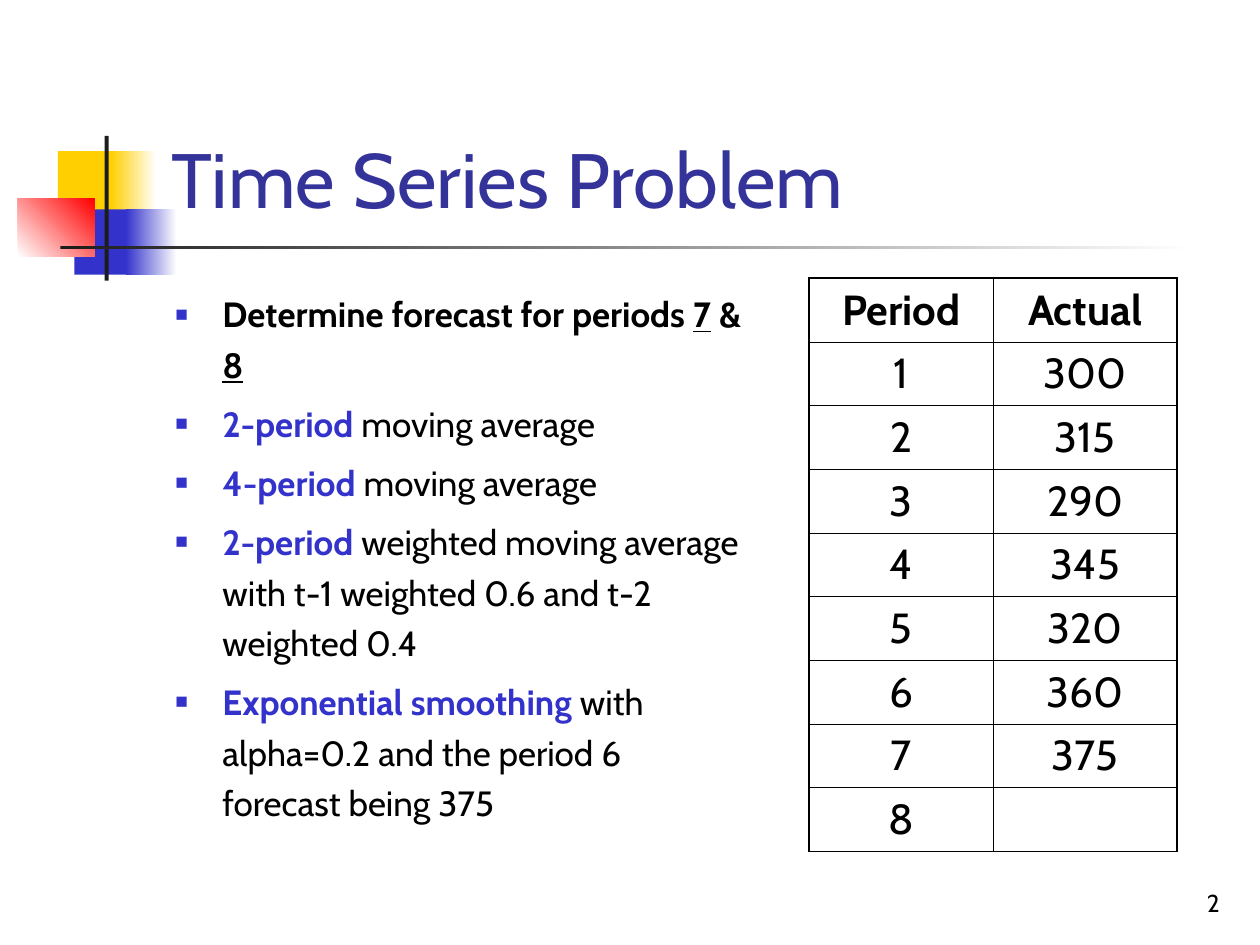
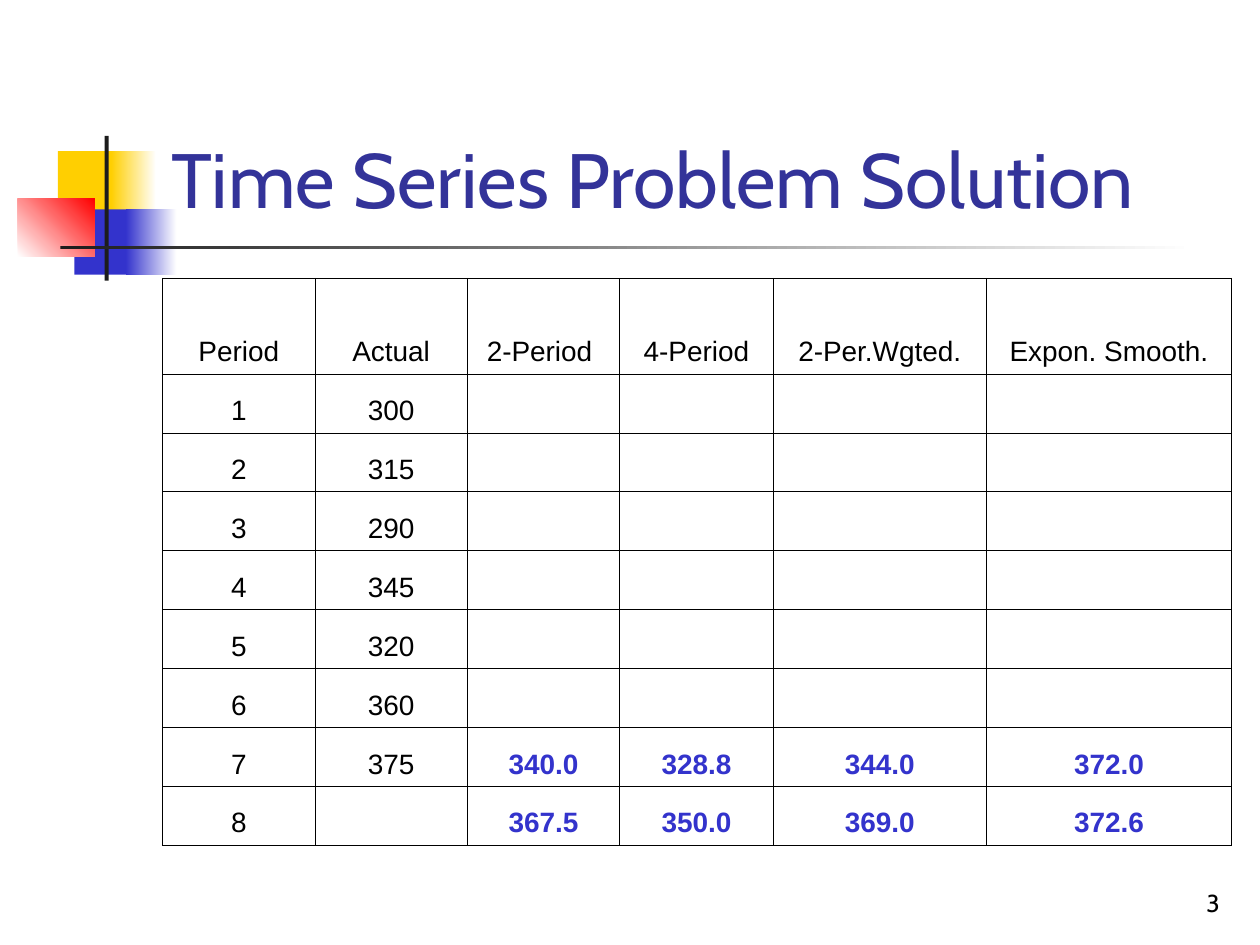
from lxml import etree
from pptx import Presentation
from pptx.dml.color import RGBColor
from pptx.enum.shapes import MSO_SHAPE
from pptx.enum.text import MSO_ANCHOR, MSO_AUTO_SIZE, PP_ALIGN
from pptx.oxml.ns import qn
from pptx.util import Cm, Pt

RECTANGLE = MSO_SHAPE.RECTANGLE
TOP, BOTTOM = MSO_ANCHOR.TOP, MSO_ANCHOR.BOTTOM
LEFT, CENTER, RIGHT = PP_ALIGN.LEFT, PP_ALIGN.CENTER, PP_ALIGN.RIGHT
NO_AUTOFIT = MSO_AUTO_SIZE.NONE

COLORS = {
    "text": "000000", "title": "333399", "accent": "3333CC", "yellow": "FFCF01",
    "red": "FF0000", "bar": "1C1C1C", "white": "FFFFFF",
}
CABIN, ARIAL = "Cabin", "Arial"
THIN, THICK = 0.45, 1.08

# Boxes in cm: left, top, width, height
TITLE_BOX = (3.2, 0.58, 21.64, 4.06)
LIST_BOX = (3.28, 5.61, 11.96, 11.43)
NUMBER_BOX = (19.56, 17.35, 5.28, 1.27)
ACTUALS_BOX = (16.31, 5.61, 7.42, 11.43)
SOLUTION_BOX = (3.28, 5.61, 21.55, 11.43)

# Corner ornament: box, start colour, end colour, angle
ORNAMENT = [
    ((1.17, 3.05, 1.22, 1.32), "yellow", None, 0),
    ((2.24, 3.05, 0.91, 1.32), "yellow", "white", 0),
    ((1.5, 4.22, 1.17, 1.32), "accent", None, 0),
    ((2.54, 4.22, 1.02, 1.32), "accent", "white", 0),
    ((0.36, 4.01, 1.55, 1.17), "white", "red", 45),
    ((2.11, 2.74, 0.08, 2.92), "bar", None, 0),
    ((1.22, 4.95, 22.86, 0.08), "bar", "white", 0),
]

ACTUALS = ["300", "315", "290", "345", "320", "360", "375", ""]
FORECASTS = {
    7: ["340.0", "328.8", "344.0", "372.0"],
    8: ["367.5", "350.0", "369.0", "372.6"],
}
KEY = {"bold": True, "color": "accent"}
TASKS = [
    [("Determine forecast for periods ", {"bold": True}),
     ("7", {"bold": True, "underline": True}),
     (" & ", {"bold": True}),
     ("8", {"bold": True, "underline": True})],
    [("2-period", KEY), (" moving average", {})],
    [("4-period ", KEY), ("moving average", {})],
    [("2-period", KEY),
     (" weighted moving average with t-1 weighted 0.6 and t-2 weighted 0.4", {})],
    [("Exponential smoothing", KEY),
     (" with alpha=0.2 and the period 6 forecast being 375", {})],
]


def rgb(name):
    return RGBColor.from_string(COLORS[name])


def lengths(box):
    return [Cm(value) for value in box]


def place(shape, box):
    for side, value in zip(("left", "top", "width", "height"), lengths(box)):
        setattr(shape, side, value)


def add_span(para, text, size, name=CABIN, color="text", **formats):
    span = para.add_run()
    span.text = text
    for key, value in {"size": Pt(size), "name": name, **formats}.items():
        setattr(span.font, key, value)
    span.font.color.rgb = rgb(color)


def set_frame(shape, anchor):
    frame = shape.text_frame
    for key, value in {"word_wrap": True, "auto_size": NO_AUTOFIT,
                       "vertical_anchor": anchor}.items():
        setattr(frame, key, value)
    return frame


def add_ornament(master, page):
    """Build the ornament on a page, then move it behind everything on the master."""
    for order, (box, start, end, angle) in enumerate(ORNAMENT):
        shape = page.shapes.add_shape(RECTANGLE, *lengths(box))
        shape.shadow.inherit = False
        shape.line.fill.background()
        if end:
            shape.fill.gradient()
            shape.fill.gradient_angle = angle
            for stop, color in zip(shape.fill.gradient_stops, (start, end)):
                stop.color.rgb = rgb(color)
        else:
            shape.fill.solid()
            shape.fill.fore_color.rgb = rgb(start)
        shape.element.nvSpPr.cNvPr.set("id", str(100 + order))
        master.shapes.element.insert(2 + order, shape.element)


def add_page(deck, layout, title, number):
    page = deck.slides.add_slide(layout)
    # Title
    place(page.shapes.title, TITLE_BOX)
    para = set_frame(page.shapes.title, BOTTOM).paragraphs[0]
    para.alignment = LEFT
    add_span(para, title, 44, color="title")
    # Page number
    number_box = page.shapes.add_textbox(*lengths(NUMBER_BOX))
    para = set_frame(number_box, BOTTOM).paragraphs[0]
    para.alignment = RIGHT
    add_span(para, number, 14)
    return page


def add_bullet(para):
    props = para._p.get_or_add_pPr()
    props.set("marL", str(Cm(0.95)))
    props.set("indent", str(-Cm(0.95)))
    bullet_color = etree.SubElement(props, qn("a:buClr"))
    etree.SubElement(bullet_color, qn("a:srgbClr"), val=COLORS["accent"])
    etree.SubElement(props, qn("a:buSzPct"), val="60000")
    etree.SubElement(props, qn("a:buFont"), typeface=ARIAL)
    etree.SubElement(props, qn("a:buChar"), char="■")


def fill_list(body, box, items):
    place(body, box)
    frame = set_frame(body, TOP)
    for index, spans in enumerate(items):
        para = frame.add_paragraph() if index else frame.paragraphs[0]
        add_bullet(para)
        para.line_spacing = 1.2
        para.space_before = Pt(5 if index else 0)
        for text, formats in spans:
            add_span(para, text, 20, **formats)


def set_borders(cell, widths):
    props = cell._tc.get_or_add_tcPr()
    for order, (side, width) in enumerate(zip("LRTB", widths)):
        line = etree.Element(qn(f"a:ln{side}"), w=str(Pt(width)))
        fill = etree.SubElement(line, qn("a:solidFill"))
        etree.SubElement(fill, qn("a:srgbClr"), val=COLORS["text"])
        props.insert(order, line)


def add_grid(page, box, rows, columns, heights, outline, anchor, style):
    """Draw a ruled table; style(row, column) gives the format of a cell's text."""
    table = page.shapes.add_table(len(rows), len(columns), *lengths(box)).table
    table.first_row = table.horz_banding = False
    for column, width in zip(table.columns, columns):
        column.width = Cm(width)
    for row, height in zip(table.rows, heights):
        row.height = Cm(height)
    last_row, last_column = len(rows) - 1, len(columns) - 1
    for r, texts in enumerate(rows):
        for c, text in enumerate(texts):
            cell = table.cell(r, c)
            cell.fill.background()
            cell.vertical_anchor = anchor
            edges = (c == 0, c == last_column, r == 0, r == last_row)
            set_borders(cell, [outline if edge else THIN for edge in edges])
            if text:
                para = cell.text_frame.paragraphs[0]
                para.alignment = CENTER
                add_span(para, text, **style(r, c))


def add_actuals_table(page, box):
    rows = [["Period", "Actual"]]
    rows += [[str(period), actual] for period, actual in enumerate(ACTUALS, 1)]
    add_grid(page, box, rows, [box[2] / 2] * 2, [box[3] / len(rows)] * len(rows),
             THICK, TOP, lambda r, c: {"size": 24, "bold": r == 0})


def add_solution_table(page, box):
    rows = [["Period", "Actual", "2-Period ", "4-Period", "2-Per.Wgted.", "Expon. Smooth."]]
    rows += [[str(period), actual, *FORECASTS.get(period, [""] * 4)]
             for period, actual in enumerate(ACTUALS, 1)]
    header = 1.93
    heights = [header] + [(box[3] - header) / len(ACTUALS)] * len(ACTUALS)

    def style(r, c):
        return {"size": 16, "name": ARIAL, **(KEY if r and c > 1 else {})}

    add_grid(page, box, rows, [3.07, 3.07, 3.07, 3.1, 4.29, 4.95], heights,
             THIN, BOTTOM, style)


def main():
    deck = Presentation()
    deck.slide_width, deck.slide_height = Cm(25.4), Cm(19.05)
    title_and_list, title_only = deck.slide_layouts[1], deck.slide_layouts[5]

    # Problem
    page = add_page(deck, title_and_list, "Time Series Problem", "2")
    add_ornament(deck.slide_master, page)
    fill_list(page.placeholders[1], LIST_BOX, TASKS)
    add_actuals_table(page, ACTUALS_BOX)

    # Solution
    page = add_page(deck, title_only, "Time Series Problem Solution", "3")
    add_solution_table(page, SOLUTION_BOX)

    deck.save("out.pptx")


if __name__ == "__main__":
    main()
